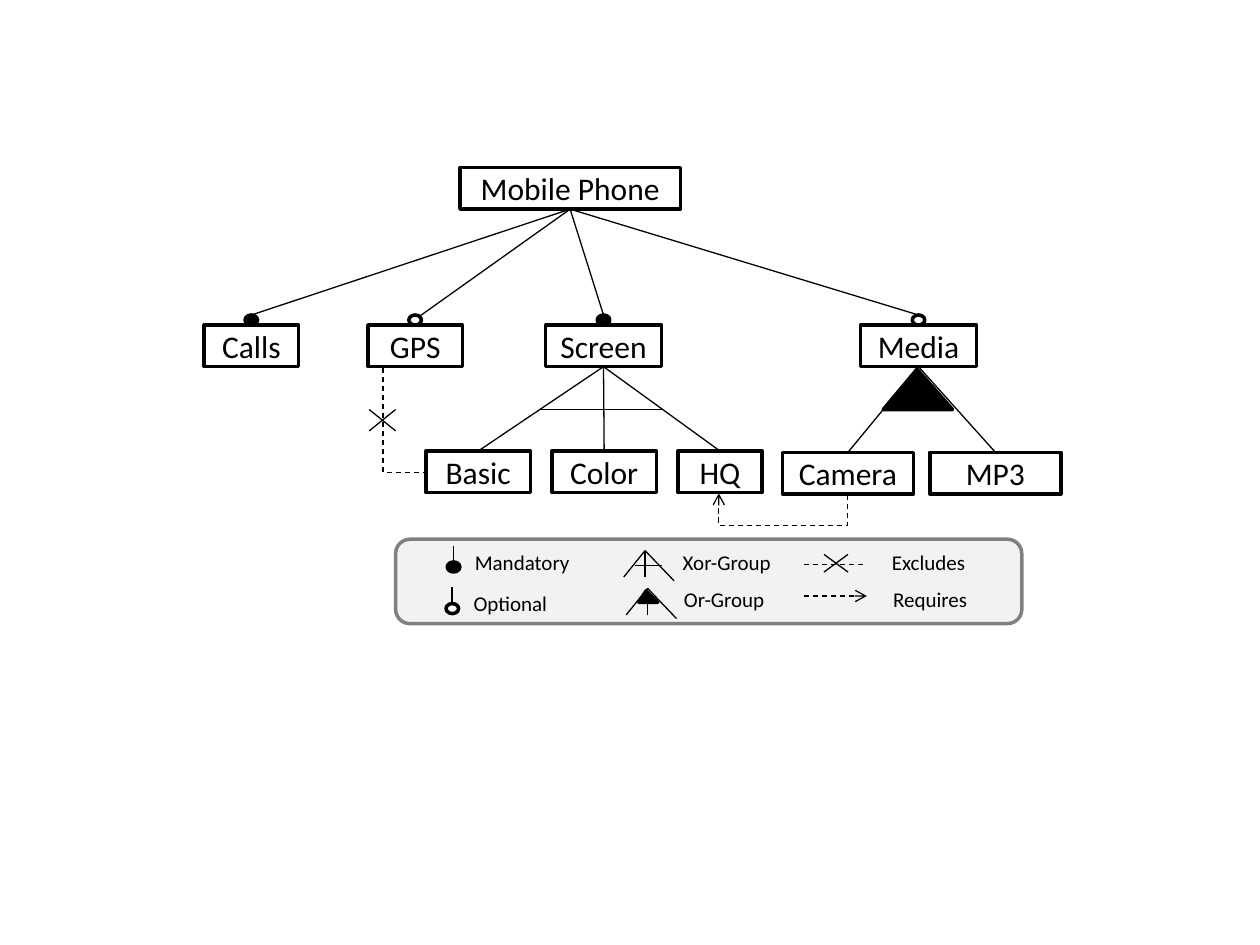
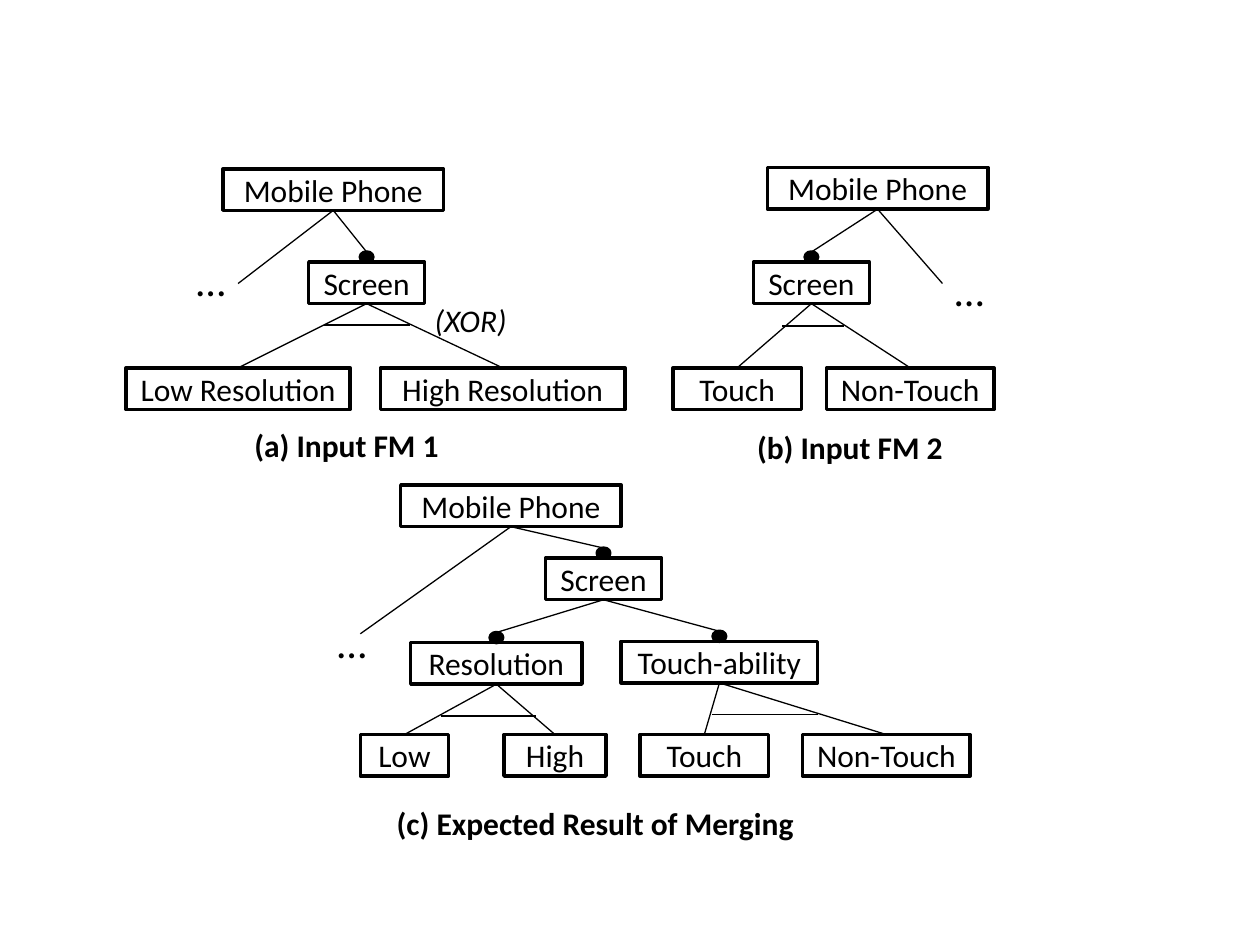
from dataclasses import dataclass
from lxml import etree
from pptx import Presentation
from pptx.dml.color import RGBColor
from pptx.enum.dml import MSO_LINE
from pptx.enum.shapes import MSO_CONNECTOR as Link, MSO_SHAPE as Preset
from pptx.enum.text import MSO_ANCHOR as Anchor, MSO_AUTO_SIZE as AutoSize, PP_ALIGN as Align
from pptx.oxml.ns import qn
from pptx.util import Inches, Pt


@dataclass(frozen=True)
class Theme:
    font: str = "Calibri"
    ink: str = "000000"
    paper: str = "FFFFFF"
    panel: str = "F2F2F2"
    panel_edge: str = "808080"
    body: int = 18
    legend: int = 12
    ellipsis: int = 24
    outline: float = 2
    bar: float = 1
    edge: float = 0.75


theme = Theme()
NODE_HEIGHT = 0.33
DOT_WIDTH, DOT_HEIGHT = 0.1, 0.08
MARKS = {"mandatory": theme.ink, "optional": theme.paper}

PHONE_MODEL = {
    "nodes": {
        "Mobile Phone": (3.65, 1.33, 1.75, None),
        "Calls": (1.62, 2.58, 0.75, "mandatory"),
        "GPS": (2.92, 2.58, 0.75, "optional"),
        "Screen": (4.33, 2.58, 0.92, "mandatory"),
        "Media": (6.83, 2.58, 0.92, "optional"),
        "Basic": (3.38, 3.58, 0.83, None),
        "Color": (4.38, 3.58, 0.83, None),
        "HQ": (5.38, 3.58, 0.67, None),
        "Camera": (6.21, 3.59, 1.04, None),
        "MP3": (7.38, 3.59, 1.04, None),
    },
    "edges": {
        "Mobile Phone": ["Calls", (3.33, 2.51), "Screen", "Media"],
        "Screen": ["Basic", "Color", "HQ"],
        "Media": ["Camera", "MP3"],
    },
    "bars": [(4.29, 5.25, 3.25)],
    "texts": [],
}

MERGE_MODELS = [
    {
        "nodes": {
            "Mobile Phone": (1.77, 1.34, 1.75, None),
            "Screen": (2.45, 2.08, 0.92, "mandatory"),
            "Low Resolution": (1, 2.92, 1.78, None),
            "High Resolution": (3.02, 2.92, 1.94, None),
        },
        "edges": {
            "Mobile Phone": [(1.89, 2.25), "Screen"],
            "Screen": ["Low Resolution", "High Resolution"],
        },
        "bars": [(2.57, 3.25, 2.58)],
        "texts": [
            ("…", (1.46, 1.97, 0.44, 0.5), {"size": theme.ellipsis}),
            ("(XOR)", (3.35, 2.34, 0.78, 0.4), {"italic": True}),
            ("(a) Input FM 1", (1.92, 3.33, 1.68, 0.4), {"bold": True}),
        ],
    },
    {
        "nodes": {
            "Mobile Phone": (6.09, 1.33, 1.75, None),
            "Screen": (5.98, 2.08, 0.92, "mandatory"),
            "Touch": (5.34, 2.92, 1.02, None),
            "Non-Touch": (6.56, 2.92, 1.33, None),
        },
        "edges": {
            "Mobile Phone": ["Screen", (7.48, 2.25)],
            "Screen": ["Touch", "Non-Touch"],
        },
        "bars": [(6.21, 6.7, 2.59)],
        "texts": [
            ("…", (7.48, 2.05, 0.44, 0.5), {"size": theme.ellipsis}),
            ("(b) Input FM 2", (5.91, 3.35, 1.69, 0.4), {"bold": True}),
        ],
    },
    {
        "nodes": {
            "Mobile Phone": (3.18, 3.85, 1.75, None),
            "Screen": (4.33, 4.43, 0.92, "mandatory"),
            "Resolution": (3.26, 5.1, 1.36, "mandatory"),
            "Touch-ability": (4.93, 5.09, 1.56, "mandatory"),
            "Low": (2.86, 5.83, 0.7, None),
            "High": (4, 5.83, 0.81, None),
            "Touch": (5.08, 5.83, 1.02, None),
            "Non-Touch": (6.37, 5.83, 1.33, None),
        },
        "edges": {
            "Mobile Phone": [(2.86, 5.03), "Screen"],
            "Screen": ["Resolution", "Touch-ability"],
            "Resolution": ["Low", "High"],
            "Touch-ability": ["Touch", "Non-Touch"],
        },
        "bars": [(3.5, 4.25, 5.68), (5.65, 6.49, 5.67)],
        "texts": [
            ("…", (2.58, 4.84, 0.44, 0.5), {"size": theme.ellipsis}),
            ("(c) Expected Result of Merging", (3.05, 6.33, 3.38, 0.4), {"bold": True}),
        ],
    },
]

LEGEND_BOX = (3.14, 4.28, 4.97, 0.67)
LEGEND_LABELS = [
    ("Mandatory", 3.67, 4.31, 0.96),
    ("Optional", 3.66, 4.64, 0.79),
    ("Xor-Group", 5.32, 4.31, 0.91),
    ("Or-Group", 5.33, 4.61, 0.85),
    ("Excludes", 6.98, 4.31, 0.79),
    ("Requires", 6.99, 4.61, 0.79),
]
LEGEND_DOTS = [("mandatory", 3.6, 4.46), ("optional", 3.59, 4.79)]
LEGEND_FANS = [(5.12, 4.37), (5.14, 4.67)]
FAN_FEET = [(-0.17, 0.21), (0, 0.21), (0.23, 0.24)]
OR_GROUPS = [((7.01, 2.93, 0.55, 0.32), 0.488), ((5.07, 4.69, 0.15, 0.09), 0.382)]
CROSSES = [(2.93, 3.25, 3.14, 3.42), (6.54, 4.4, 6.73, 4.54)]


def color(code):
    return RGBColor.from_string(code)


def write(shape, text, size=theme.body, bold=False, italic=False, align=Align.LEFT,
          anchor=Anchor.TOP, wrap=False):
    frame = shape.text_frame
    frame.word_wrap = wrap
    frame.vertical_anchor = anchor
    paragraph = frame.paragraphs[0]
    paragraph.alignment = align
    run = paragraph.add_run()
    run.text = text
    font = run.font
    font.name, font.size, font.bold, font.italic = theme.font, Pt(size), bold, italic
    font.color.rgb = color(theme.ink)


def add_text(slide, text, box, **style):
    shape = slide.shapes.add_textbox(*map(Inches, box))
    write(shape, text, **style)
    shape.text_frame.auto_size = AutoSize.SHAPE_TO_FIT_TEXT


def add_shape(slide, preset, box, fill=theme.paper, outline=theme.ink):
    shape = slide.shapes.add_shape(preset, *map(Inches, box))
    shape.shadow.inherit = False
    shape.fill.solid()
    shape.fill.fore_color.rgb = color(fill)
    shape.line.color.rgb = color(outline)
    shape.line.width = Pt(theme.outline)
    return shape


def add_line(slide, start, end, width=theme.edge, dashed=False, arrow=False, link=Link.STRAIGHT):
    connector = slide.shapes.add_connector(link, *map(Inches, (*start, *end)))
    connector.line.color.rgb = color(theme.ink)
    connector.line.width = Pt(width)
    if dashed:
        connector.line.dash_style = MSO_LINE.DASH
    properties = connector._element.spPr
    if arrow:
        etree.SubElement(properties.find(qn("a:ln")), qn("a:tailEnd"), type="arrow")
    etree.SubElement(properties, qn("a:effectLst"))
    return connector


def add_bent(slide, box, degrees, preset, adjust=None, arrow=False):
    left, top, width, height = box
    connector = add_line(slide, (left + width, top), (left, top + height),
                         dashed=True, arrow=arrow, link=Link.ELBOW)
    properties = connector._element.spPr
    properties.find(qn("a:xfrm")).set("rot", str(degrees * 60000))
    geometry = properties.find(qn("a:prstGeom"))
    geometry.set("prst", preset)
    if adjust is not None:
        guides = geometry.find(qn("a:avLst"))
        etree.SubElement(guides, qn("a:gd"), name="adj1", fmla=f"val {adjust * 100000}")


def add_dot(slide, mark, center, top):
    box = (center - DOT_WIDTH / 2, top, DOT_WIDTH, DOT_HEIGHT)
    add_shape(slide, Preset.OVAL, box, fill=MARKS[mark])


def add_cross(slide, left, top, right, bottom):
    add_line(slide, (left, top), (right, bottom))
    add_line(slide, (left, bottom), (right, top))


def add_model(slide, model):
    heads, feet = {}, {}
    for name, (left, top, width, mark) in model["nodes"].items():
        shape = add_shape(slide, Preset.RECTANGLE, (left, top, width, NODE_HEIGHT))
        write(shape, name, align=Align.CENTER, anchor=Anchor.MIDDLE, wrap=True)
        center = left + width / 2
        heads[name] = (center, top - DOT_HEIGHT if mark else top)
        feet[name] = (center, top + NODE_HEIGHT)
        if mark:
            add_dot(slide, mark, *heads[name])
    for parent, children in model["edges"].items():
        for child in children:
            add_line(slide, feet[parent], heads.get(child, child))
    for left, right, height in model["bars"]:
        add_line(slide, (left, height), (right, height), width=theme.bar)
    for text, box, style in model["texts"]:
        add_text(slide, text, box, **style)


def add_legend(slide):
    panel = add_shape(slide, Preset.ROUNDED_RECTANGLE, LEGEND_BOX,
                      fill=theme.panel, outline=theme.panel_edge)
    panel.adjustments[0] = 0.17
    for mark, center, top in LEGEND_DOTS:
        add_dot(slide, mark, center, top)
        add_line(slide, (center, top - 0.13), (center, top), width=theme.bar)
    for x, y in LEGEND_FANS:
        for across, down in FAN_FEET:
            add_line(slide, (x, y), (x + across, y + down))
    add_line(slide, (5.04, 4.49), (5.25, 4.49))
    add_line(slide, (6.38, 4.48), (6.88, 4.48), dashed=True)
    add_line(slide, (6.38, 4.73), (6.88, 4.73), dashed=True, arrow=True)
    for text, left, top, width in LEGEND_LABELS:
        add_text(slide, text, (left, top, width, 0.3), size=theme.legend)


presentation = Presentation()
presentation.slide_width, presentation.slide_height = Inches(10), Inches(7.5)
blank = presentation.slide_layouts[6]

phone_slide = presentation.slides.add_slide(blank)
add_model(phone_slide, PHONE_MODEL)
add_bent(phone_slide, (2.79, 3.17, 0.83, 0.33), 270, "bentConnector2")
add_bent(phone_slide, (6.21, 3.41, 0.01, 1.02), 90, "bentConnector3", adjust=-25, arrow=True)
add_legend(phone_slide)
for box, apex in OR_GROUPS:
    triangle = add_shape(phone_slide, Preset.ISOSCELES_TRIANGLE, box, fill=theme.ink)
    triangle.adjustments[0] = apex
for cross in CROSSES:
    add_cross(phone_slide, *cross)

merge_slide = presentation.slides.add_slide(blank)
for model in MERGE_MODELS:
    add_model(merge_slide, model)

presentation.save("out.pptx")
